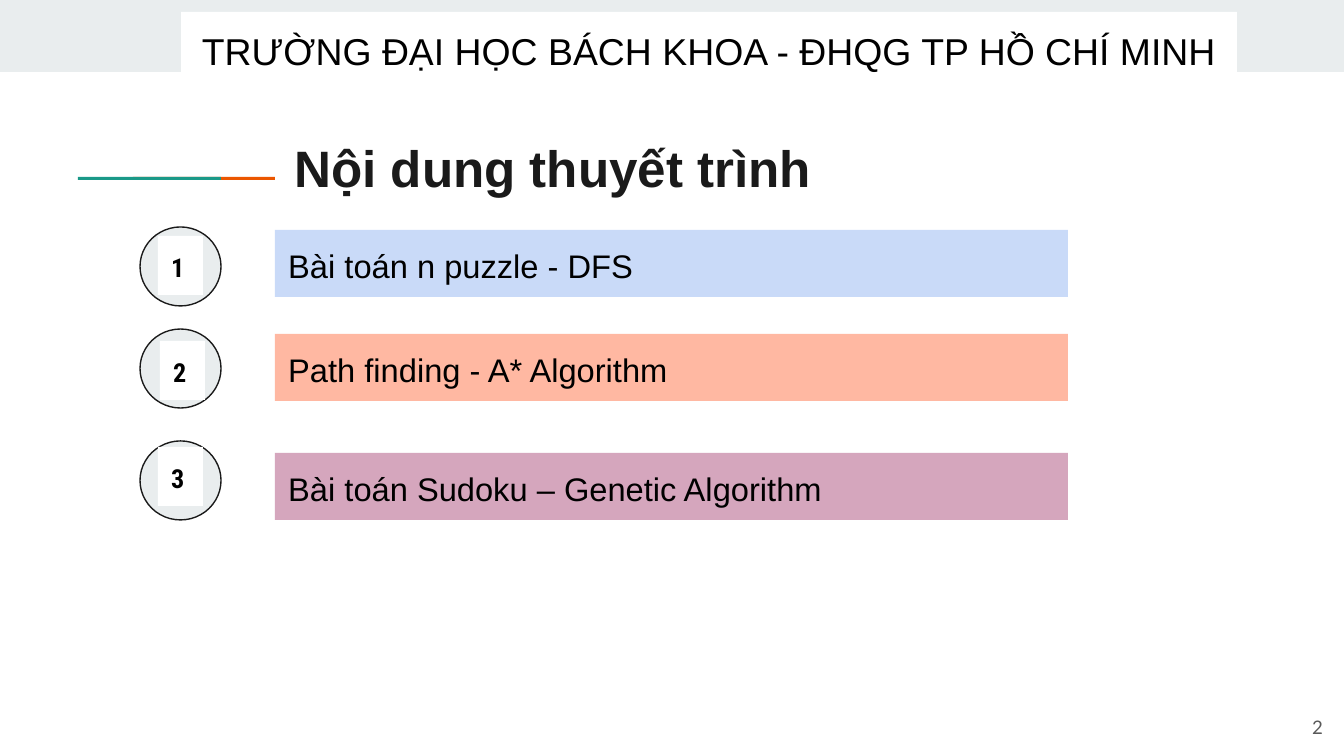
from pptx import Presentation
from pptx.dml.color import RGBColor
from pptx.enum.shapes import MSO_SHAPE
from pptx.enum.text import MSO_ANCHOR, PP_ALIGN
from pptx.util import Emu, Pt

RECTANGLE = MSO_SHAPE.RECTANGLE
CIRCLE = MSO_SHAPE.FLOWCHART_CONNECTOR
LEFT, CENTER, RIGHT = PP_ALIGN.LEFT, PP_ALIGN.CENTER, PP_ALIGN.RIGHT
TOP, MIDDLE = MSO_ANCHOR.TOP, MSO_ANCHOR.MIDDLE
SCALE = 914400 / 134.4
INSET = Emu(91440)

presentation = Presentation()
presentation.slide_width = Emu(round(1344 * SCALE))
presentation.slide_height = Emu(round(756 * SCALE))
slide = presentation.slides.add_slide(presentation.slide_layouts[5])


def add_shape(kind, left, top, width, height, fill, line=None):
    box = [Emu(round(value * SCALE)) for value in (left, top, width, height)]
    shape = slide.shapes.add_shape(kind, *box)
    shape.shadow.inherit = False
    shape.fill.solid()
    shape.fill.fore_color.rgb = RGBColor.from_string(fill)
    if line:
        shape.line.color.rgb = RGBColor.from_string(line)
        shape.line.width = Pt(0.75)
    else:
        shape.line.fill.background()
    return shape


def set_text(shape, text, size, font="Arial", color="000000", bold=False,
             align=LEFT, anchor=TOP, spacing=1.07):
    frame = shape.text_frame
    frame.text = text
    frame.word_wrap = True
    frame.vertical_anchor = anchor
    frame.margin_left = frame.margin_right = INSET
    frame.margin_top = frame.margin_bottom = INSET
    paragraph = frame.paragraphs[0]
    paragraph.alignment = align
    paragraph.line_spacing = spacing
    run = paragraph.runs[0]
    run.font.size = Pt(size)
    run.font.name = font
    run.font.bold = bold
    run.font.color.rgb = RGBColor.from_string(color)


add_shape(RECTANGLE, 0, 0, 1344, 72, "E9EDEE")
add_shape(RECTANGLE, 133, 177, 142, 3, "EB5600")
add_shape(RECTANGLE, 78, 177, 143, 3, "1A9988")

title = slide.shapes.title
title.left, title.top = Emu(round(281 * SCALE)), Emu(round(114 * SCALE))
title.width, title.height = Emu(round(1130 * SCALE)), Emu(round(79 * SCALE))
set_text(title, "Nội dung thuyết trình", 27.4, color="1A1A1A", bold=True, spacing=1.15)

header = add_shape(RECTANGLE, 181, 12, 1056, 73, "FFFFFF")
set_text(header, "TRƯỜNG ĐẠI HỌC BÁCH KHOA - ĐHQG TP HỒ CHÍ MINH", 20, align=CENTER)

topics = [
    ("Bài toán n puzzle - DFS", "C9DAF8", 227, 230, 158, 236),
    ("Path finding - A* Algorithm", "FFB8A2", 329, 334, 160, 341),
    ("Bài toán Sudoku – Genetic Algorithm", "D5A6BD", 441, 453, 158, 447),
]
for number, (topic, fill, circle_top, bar_top, label_left, label_top) in enumerate(topics, 1):
    add_shape(CIRCLE, 140, circle_top, 81, 79, "E9EDEE", "1A1A1A")
    bar = add_shape(RECTANGLE, 275, bar_top, 793, 67, fill)
    set_text(bar, topic, 17.5)
    label = add_shape(RECTANGLE, label_left, label_top, 45, 59, "FFFFFF")
    set_text(label, str(number), 14, "Roboto Condensed", bold=True)

page_box = [Emu(round(value * SCALE)) for value in (1255, 698, 81, 58)]
page_number = slide.shapes.add_textbox(*page_box)
set_text(page_number, "2", 10, "Lato", "595959", align=RIGHT, anchor=MIDDLE, spacing=1.0)

presentation.save("out.pptx")
